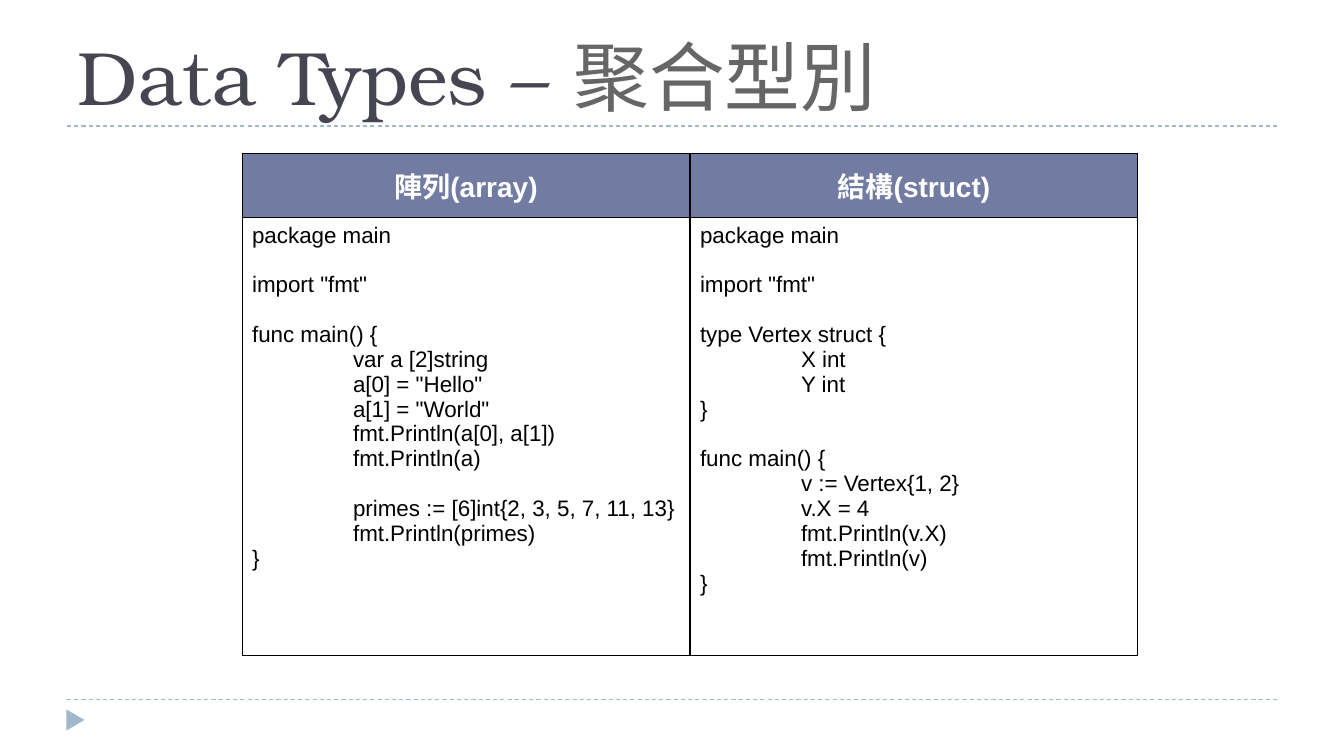
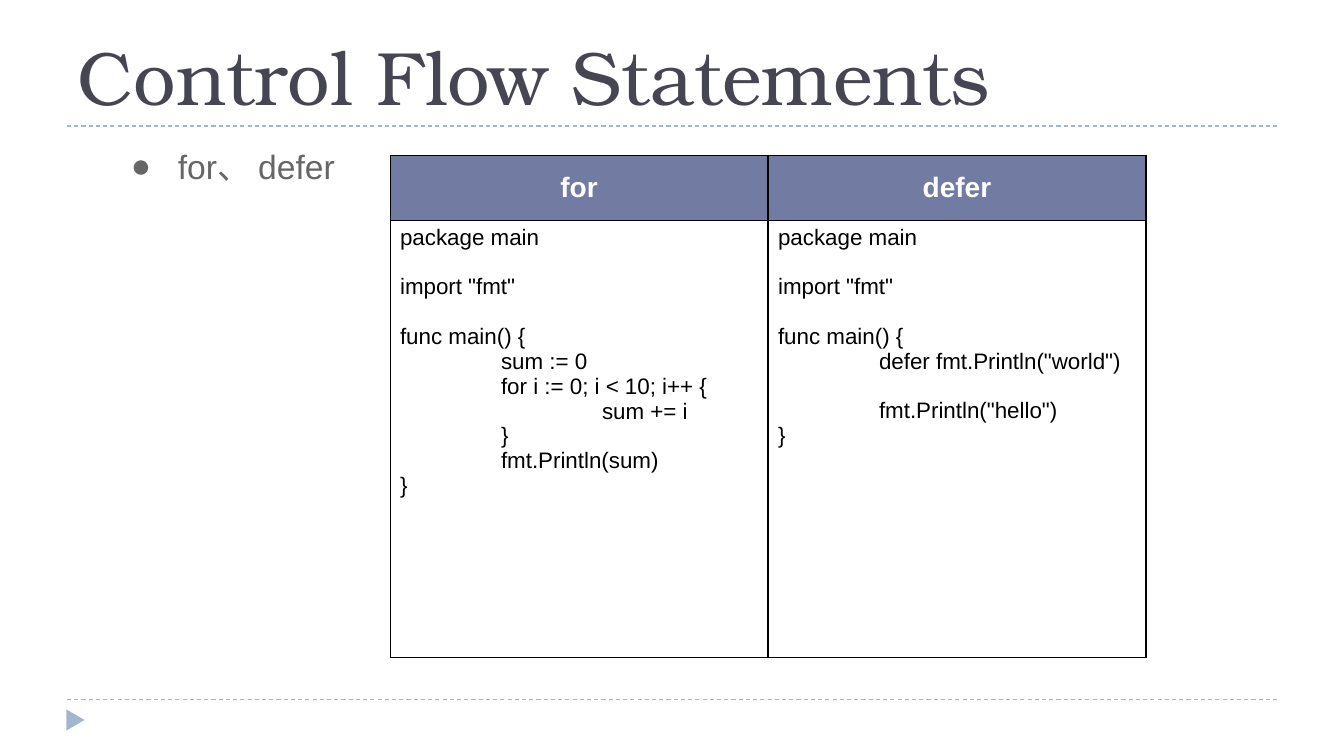
from lxml import etree
from pptx import Presentation, util as u
from pptx.dml.color import RGBColor
from pptx.enum import dml, shapes, text
from pptx.oxml import ns

PX = 914400 / 100.8
SERIF, SANS = "TeX Gyre Bonum", "Arial"
TITLE_INK = RGBColor(0x46, 0x46, 0x53)
GREY = RGBColor(0x66, 0x66, 0x66)
RULE_BLUE = RGBColor(0x9F, 0xB8, 0xCD)
HEADER_BLUE = RGBColor(0x72, 0x7C, 0xA3)
WHITE = RGBColor(0xFF, 0xFF, 0xFF)
BLACK = RGBColor(0x00, 0x00, 0x00)

LEFT, RIGHT = 67, 1277
TEXT_LEFT = 68
RULE_TOPS = (700, 126)
HEADER_HEIGHT, CODE_HEIGHT = 65, 438
TAB_WIDTH, TAB_LEVELS = 101, 2
THIN, THICK = 0.75, 1
BLANK_LINE = u.Pt(17.7)

ARRAY_CODE = """package main

import "fmt"

func main() {
    var a [2]string
    a[0] = "Hello"
    a[1] = "World"
    fmt.Println(a[0], a[1])
    fmt.Println(a)

    primes := [6]int{2, 3, 5, 7, 11, 13}
    fmt.Println(primes)
}"""

STRUCT_CODE = """package main

import "fmt"

type Vertex struct {
    X int
    Y int
}

func main() {
    v := Vertex{1, 2}
    v.X = 4
    fmt.Println(v.X)
    fmt.Println(v)
}"""

FOR_CODE = """package main

import "fmt"

func main() {
    sum := 0
    for i := 0; i < 10; i++ {
        sum += i
    }
    fmt.Println(sum)
}"""

DEFER_CODE = """package main

import "fmt"

func main() {
    defer fmt.Println("world")

    fmt.Println("hello")
}"""


def px(length):
    return u.Emu(round(length * PX))


def set_font(font, name, size, color, bold=False):
    font.name, font.size, font.bold = name, u.Pt(size), bold
    font.color.rgb = color


def insert_properties(para, *elements):
    """Put elements just before the default run properties, as the schema asks."""
    properties = para._p.get_or_add_pPr()
    position = properties.index(properties.find(ns.qn("a:defRPr")))
    properties[position:position] = elements


def add_rule(page, top):
    rule = page.shapes.add_connector(
        shapes.MSO_CONNECTOR.STRAIGHT, px(LEFT), px(top), px(RIGHT), px(top))
    rule.line.color.rgb = RULE_BLUE
    rule.line.width = u.Pt(0.75)
    rule.line.dash_style = dml.MSO_LINE.DASH
    etree.SubElement(rule._element.spPr, ns.qn("a:effectLst"))


def add_marker(page):
    marker = page.shapes.add_shape(
        shapes.MSO_SHAPE.ISOSCELES_TRIANGLE, px(65), px(711), px(21), px(18))
    marker.rotation = 90
    marker.shadow.inherit = False
    marker.fill.solid()
    marker.fill.fore_color.rgb = RULE_BLUE
    marker.line.fill.background()


def add_text_box(page, top, height, anchor):
    box = page.shapes.add_textbox(
        px(TEXT_LEFT), px(top), px(RIGHT - TEXT_LEFT), px(height))
    box.text_frame.word_wrap = True
    box.text_frame.vertical_anchor = anchor
    return box.text_frame.paragraphs[0]


def add_page(deck, *title_spans):
    """Add a slide with the shared rules, marker and a title of (text, colour) spans."""
    page = deck.slides.add_slide(deck.slide_layouts[6])
    for top in RULE_TOPS:
        add_rule(page, top)
    add_marker(page)
    para = add_text_box(page, 17, 109, text.MSO_ANCHOR.BOTTOM)
    for words, color in title_spans:
        span = para.add_run()
        span.text = words
        set_font(span.font, SERIF, 54, color)
    return page


def add_bullet(page, words):
    para = add_text_box(page, 135, 544, text.MSO_ANCHOR.TOP)
    para.text = words
    para.line_spacing = 1.15
    para.space_before = u.Pt(11)
    set_font(para.font, SANS, 24, GREY)
    properties = para._p.get_or_add_pPr()
    properties.set("marL", str(px(100)))
    properties.set("indent", str(px(-47)))
    bullet_color = etree.Element(ns.qn("a:buClr"))
    etree.SubElement(bullet_color, ns.qn("a:srgbClr"), val=str(GREY))
    bullet_font = etree.Element(ns.qn("a:buFont"), typeface=SANS)
    bullet = etree.Element(ns.qn("a:buChar"), char="●")
    insert_properties(para, bullet_color, bullet_font, bullet)


def set_tab_stops(para):
    stops = etree.Element(ns.qn("a:tabLst"))
    for level in range(1, TAB_LEVELS + 1):
        etree.SubElement(stops, ns.qn("a:tab"), pos=str(px(TAB_WIDTH * level)), algn="l")
    insert_properties(para, stops)


def set_borders(cell, left, right):
    """Draw black borders; the top and bottom ones are always thin."""
    properties = cell._tc.get_or_add_tcPr()
    for side, width in (("L", left), ("R", right), ("T", THIN), ("B", THIN)):
        line = etree.SubElement(properties, ns.qn(f"a:ln{side}"), w=str(u.Pt(width)))
        fill = etree.SubElement(line, ns.qn("a:solidFill"))
        etree.SubElement(fill, ns.qn("a:srgbClr"), val=str(BLACK))


def fill_header(cell, words):
    cell.fill.solid()
    cell.fill.fore_color.rgb = HEADER_BLUE
    cell.vertical_anchor = text.MSO_ANCHOR.MIDDLE
    para = cell.text_frame.paragraphs[0]
    para.text = words
    para.alignment = text.PP_ALIGN.CENTER
    set_font(para.font, SANS, 20, WHITE, bold=True)


def fill_code(cell, code):
    """Write one paragraph a line; an empty line becomes space before the next."""
    cell.fill.background()
    frame = cell.text_frame
    para = frame.paragraphs[0]
    for number, block in enumerate(code.split("\n\n")):
        for row, line in enumerate(block.splitlines()):
            if number or row:
                para = frame.add_paragraph()
            if number and row == 0:
                para.space_before = BLANK_LINE
            para.text = line.replace("    ", "\t")
            set_font(para.font, SANS, 16, BLACK)
            set_tab_stops(para)


def add_code_table(page, left, top, column_width, samples, right_border):
    """Add a table with one column for each (heading, code) sample."""
    frame = page.shapes.add_table(
        2, len(samples), px(left), px(top),
        px(column_width * len(samples)), px(HEADER_HEIGHT + CODE_HEIGHT))
    table = frame.table
    table.first_row = table.horz_banding = False
    table.rows[0].height, table.rows[1].height = px(HEADER_HEIGHT), px(CODE_HEIGHT)
    last = len(samples) - 1
    for index, (heading, code) in enumerate(samples):
        table.columns[index].width = px(column_width)
        header_cell, code_cell = table.cell(0, index), table.cell(1, index)
        for cell in (header_cell, code_cell):
            set_borders(cell, THICK if index else THIN,
                        right_border if index == last else THICK)
        fill_header(header_cell, heading)
        fill_code(code_cell, code)


def main():
    deck = Presentation()
    deck.slide_width, deck.slide_height = px(1344), px(756)

    page = add_page(deck, ("Data Types – ", TITLE_INK), ("聚合型別", GREY))
    add_code_table(page, 242, 153, 448,
                   [("陣列(array)", ARRAY_CODE), ("結構(struct)", STRUCT_CODE)], THIN)

    page = add_page(deck, ("Control Flow Statements", TITLE_INK))
    add_bullet(page, "for、 defer")
    add_code_table(page, 390, 155, 378,
                   [("for", FOR_CODE), ("defer", DEFER_CODE)], THICK)

    deck.save("out.pptx")


if __name__ == "__main__":
    main()
